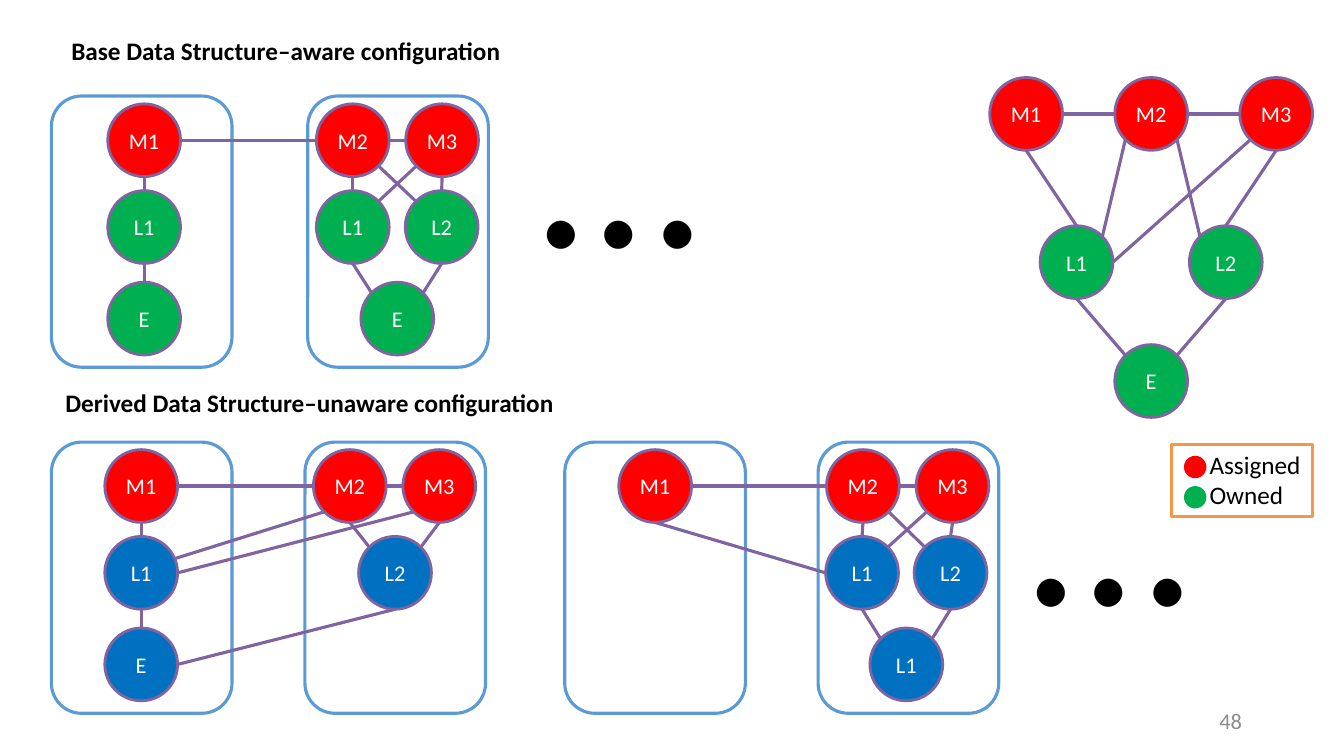
"""Build the slide on structure-aware and structure-unaware configurations."""
from lxml import etree
from pptx import Presentation
from pptx.dml.color import RGBColor
from pptx.enum.shapes import MSO_CONNECTOR, MSO_SHAPE
from pptx.enum.text import MSO_ANCHOR, PP_ALIGN
from pptx.oxml.ns import qn
from pptx.util import Pt

OVAL, RECT, ROUND = MSO_SHAPE.OVAL, MSO_SHAPE.RECTANGLE, MSO_SHAPE.ROUNDED_RECTANGLE
LINE = MSO_CONNECTOR.STRAIGHT
LEFT, MID, RIGHT = PP_ALIGN.LEFT, PP_ALIGN.CENTER, PP_ALIGN.RIGHT
TOP, CENTER = MSO_ANCHOR.TOP, MSO_ANCHOR.MIDDLE

HUES = {
    "red": "FF0000", "green": "00B050", "blue": "0070C0", "purple": "8064A2",
    "sky": "5B9BD5", "orange": "F79646", "white": "FFFFFF", "black": "000000",
    "gray": "8C8C8C",
}
SIZE = 52
DIAG = 0.71
SITES = {
    "n": (0, -1), "s": (0, 1), "w": (-1, 0), "e": (1, 0),
    "nw": (-DIAG, -DIAG), "ne": (DIAG, -DIAG),
    "sw": (-DIAG, DIAG), "se": (DIAG, DIAG), "ene": (0.92, -0.39),
}


class Slide:
    """Draw styled elements on one slide."""

    def __init__(self, deck, font):
        self.slide = deck.slides.add_slide(deck.slide_layouts[6])
        self.font = font

    def hue(self, name):
        return RGBColor.from_string(HUES[name])

    def label(self, shape, text, size, hue="black", bold=False, align=LEFT,
              anchor=TOP, indent=0, **frame):
        box = shape.text_frame
        style = {"word_wrap": True, "vertical_anchor": anchor, **frame}
        for key, value in style.items():
            setattr(box, key, value)
        box.text = text
        face = {"name": self.font, "size": Pt(size), "bold": bold}
        for para in box.paragraphs:
            para.alignment = align
            if indent:
                para._p.get_or_add_pPr().set("marL", str(Pt(indent)))
            for key, value in face.items():
                setattr(para.font, key, value)
            para.font.color.rgb = self.hue(hue)

    def shape(self, kind, left, top, width, height, fill, line, weight):
        item = self.slide.shapes.add_shape(
            kind, Pt(left), Pt(top), Pt(width), Pt(height))
        item.shadow.inherit = False
        item.fill.solid()
        item.fill.fore_color.rgb = self.hue(fill)
        item.line.color.rgb = self.hue(line)
        item.line.width = Pt(weight)
        return item

    def text(self, left, top, width, height, text, size, **style):
        box = self.slide.shapes.add_textbox(
            Pt(left), Pt(top), Pt(width), Pt(height))
        self.label(box, text, size, **style)

    def panel(self, left, top):
        self.shape(ROUND, left, top, 129, 193.7, "white", "sky", 2.25)

    def node(self, name, left, top, fill):
        item = self.shape(OVAL, left, top, SIZE, SIZE, fill, "purple", 2)
        self.label(item, name, 16, hue="white", align=MID, anchor=CENTER,
                   margin_left=0, margin_right=0)

    def edge(self, start, end):
        ends = [Pt(value) for value in (*start, *end)]
        link = self.slide.shapes.add_connector(LINE, *ends)
        link.line.color.rgb = self.hue("purple")
        link.line.width = Pt(2.25)
        etree.SubElement(link._element.spPr, qn("a:effectLst"))

    def graph(self, nodes, edges, fill):
        for name, (left, top) in nodes.items():
            self.node(name.rstrip("'"), left, top, "red" if name[0] == "M" else fill)

        def port(name, site):
            return [start + SIZE / 2 * (1 + step)
                    for start, step in zip(nodes[name], SITES[site])]

        for edge in edges:
            head, out, tail, into = edge.split()
            self.edge(port(head, out), port(tail, into))

    def legend(self, left, top, items):
        box = self.shape(RECT, left, top, 100.8, 51.2, "white", "orange", 2)
        self.label(box, "\n".join(items), 18, indent=20.3, margin_right=0)
        for row, hue in enumerate(items.values()):
            self.shape(OVAL, left + 9.6, top + 8.6 + 21.6 * row, 15, 15, hue, hue, 1)


def rows(top, *lines):
    """Place each line of named nodes at its height below the top."""
    return {name: (left, top + drop)
            for drop, line in zip((0, 62, 127.4), lines)
            for name, left in line.items()}


def main():
    """Build and save the deck."""
    deck = Presentation()
    deck.slide_width, deck.slide_height = Pt(960), Pt(540)
    page = Slide(deck, "Calibri")

    tree = {
        "M1": (707, 55.4), "M2": (796.3, 55.4), "M3": (885.6, 55.4),
        "L1": (743, 161.3), "L2": (849.6, 161.3), "E": (796.3, 246.2),
    }
    page.graph(tree, [
        "M1 e M2 w", "M2 e M3 w", "M1 s L1 n", "M3 s L2 n", "M3 sw L1 e",
        "M2 sw L1 ne", "M2 se L2 nw", "L1 s E nw", "L2 s E ne",
    ], "green")

    for left, top in ((36.7, 68.6), (219.8, 68.6), (36.7, 315.8),
                      (217.8, 315.8), (403.4, 315.8), (584.4, 315.8)):
        page.panel(left, top)

    chain = ["M1 e M2 w", "M2 e M3 w"]
    stem = ["M1 s L1 n", "L1 s E n"]
    cross = ["M2 s {0} n", "M3 s L2 n", "M3 sw {0} ne", "M2 se L2 nw",
             "{0} s {1} nw", "L2 s {1} ne"]
    page.graph(
        rows(74.2, {"M1": 77, "M2": 226, "M3": 289.8},
             {"L1": 77, "L1'": 226, "L2": 289.5}, {"E": 77, "E'": 257.8}),
        chain + stem + [edge.format("L1'", "E'") for edge in cross], "green")
    page.graph(
        rows(321.2, {"M1": 74.9, "M2": 223.9, "M3": 287.8},
             {"L1": 74.9, "L2": 256.2}, {"E": 74.9}),
        chain + stem + ["M2 s L2 nw", "M3 s L2 ne", "M2 sw L1 ene",
                        "M3 sw L1 e", "L2 s E e"], "blue")
    page.graph(
        rows(321.2, {"M1": 442, "M2": 590.4, "M3": 654.4},
             {"L1": 589.8, "L2": 653}, {"L1'": 621.4}),
        chain + ["M1 s L1 w"] + [edge.format("L1", "L1'") for edge in cross], "blue")

    for left, top in ((728, 262.8), (378, 7.2)):
        page.text(left, top, 53.3, 208, "…", 166)
    page.text(678.2, 500.4, 216, 28.8, "48", 16, hue="gray", align=RIGHT,
              anchor=CENTER)
    page.text(43.9, 21.6, 327.6, 29, "Base Data Structure–aware configuration",
              18, bold=True)
    page.text(39.6, 272.9, 368.6, 29,
              "Derived Data Structure–unaware configuration", 18, bold=True)
    page.legend(836.6, 317.5, {"Assigned": "red", "Owned": "green"})
    deck.save("out.pptx")


if __name__ == "__main__":
    main()
